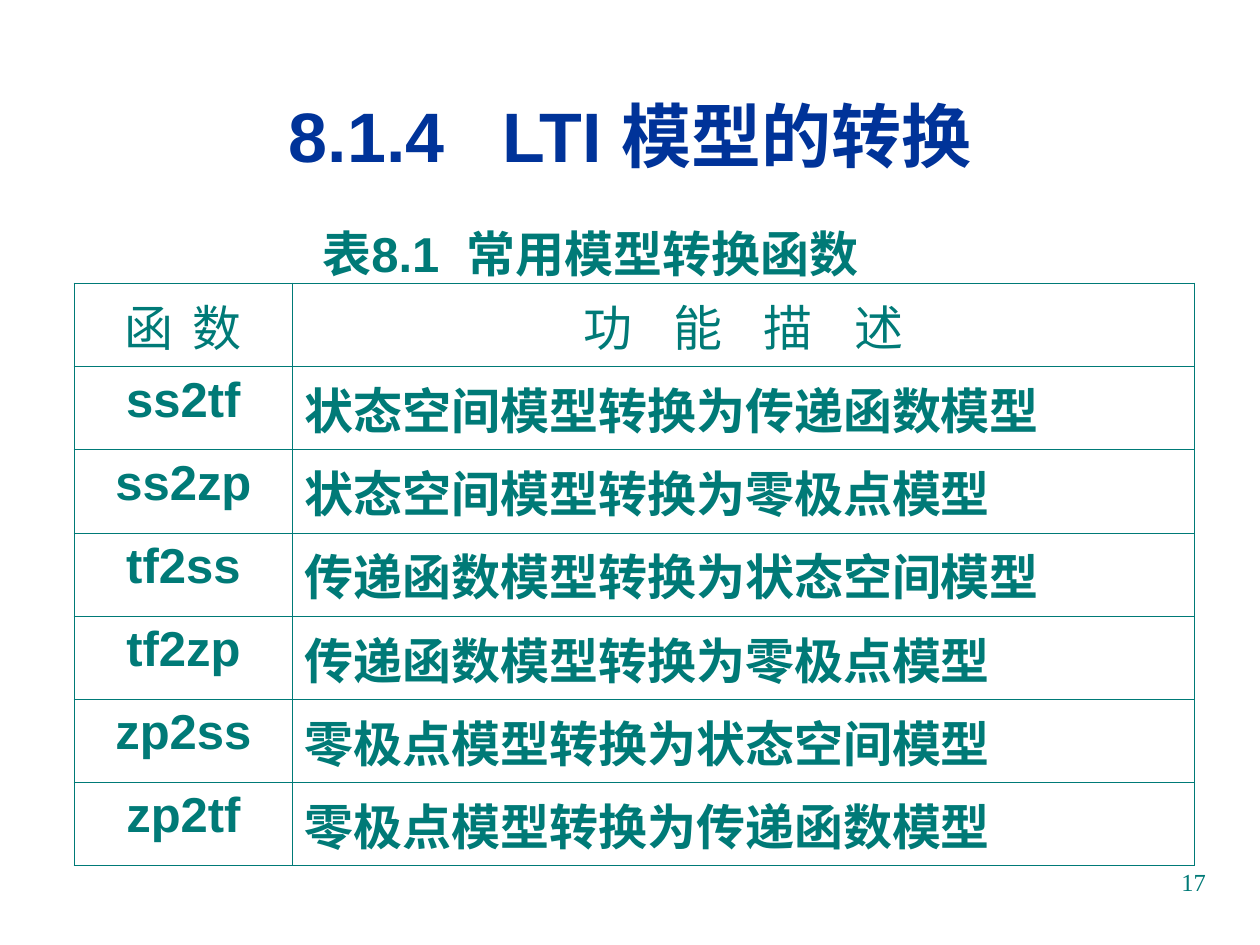
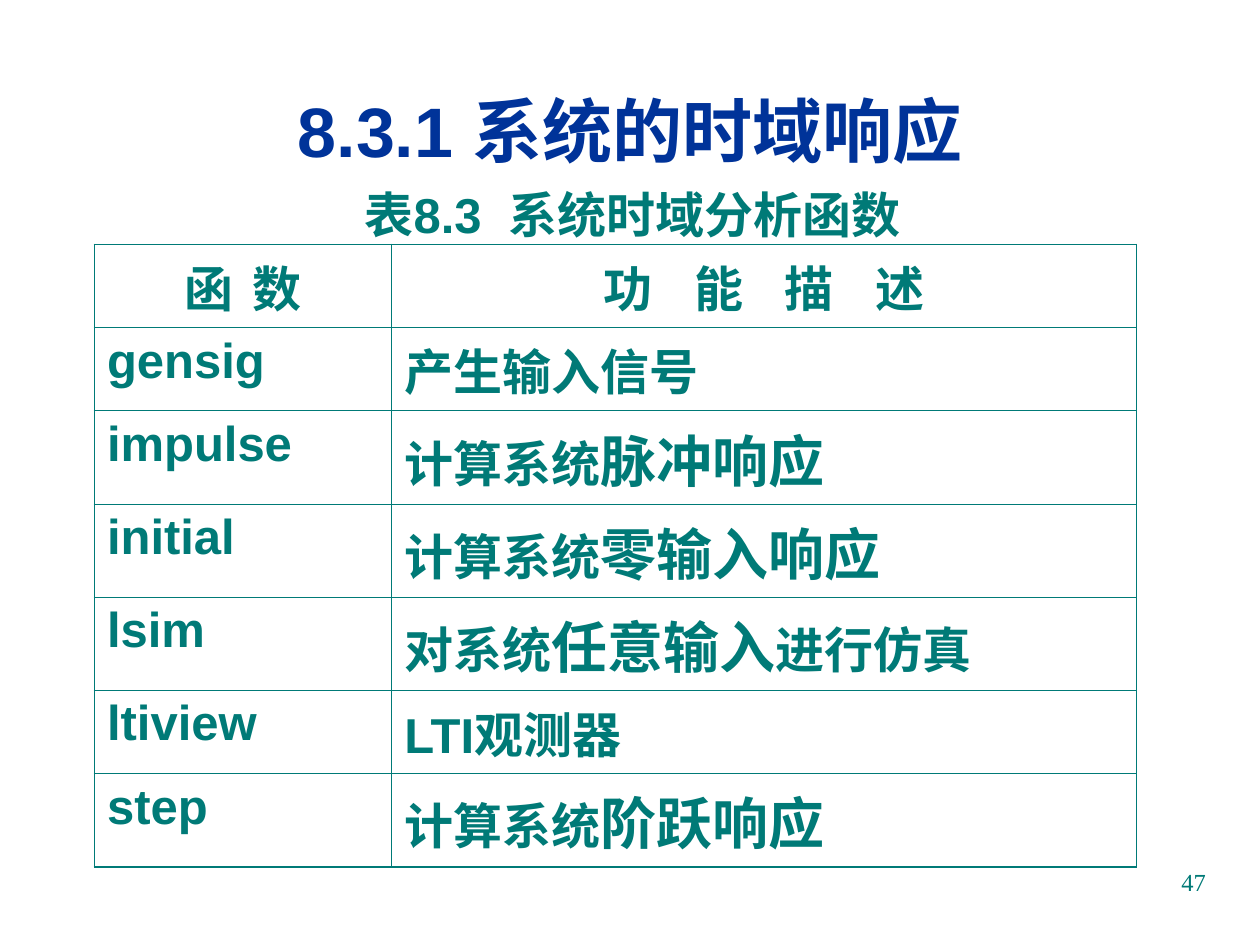
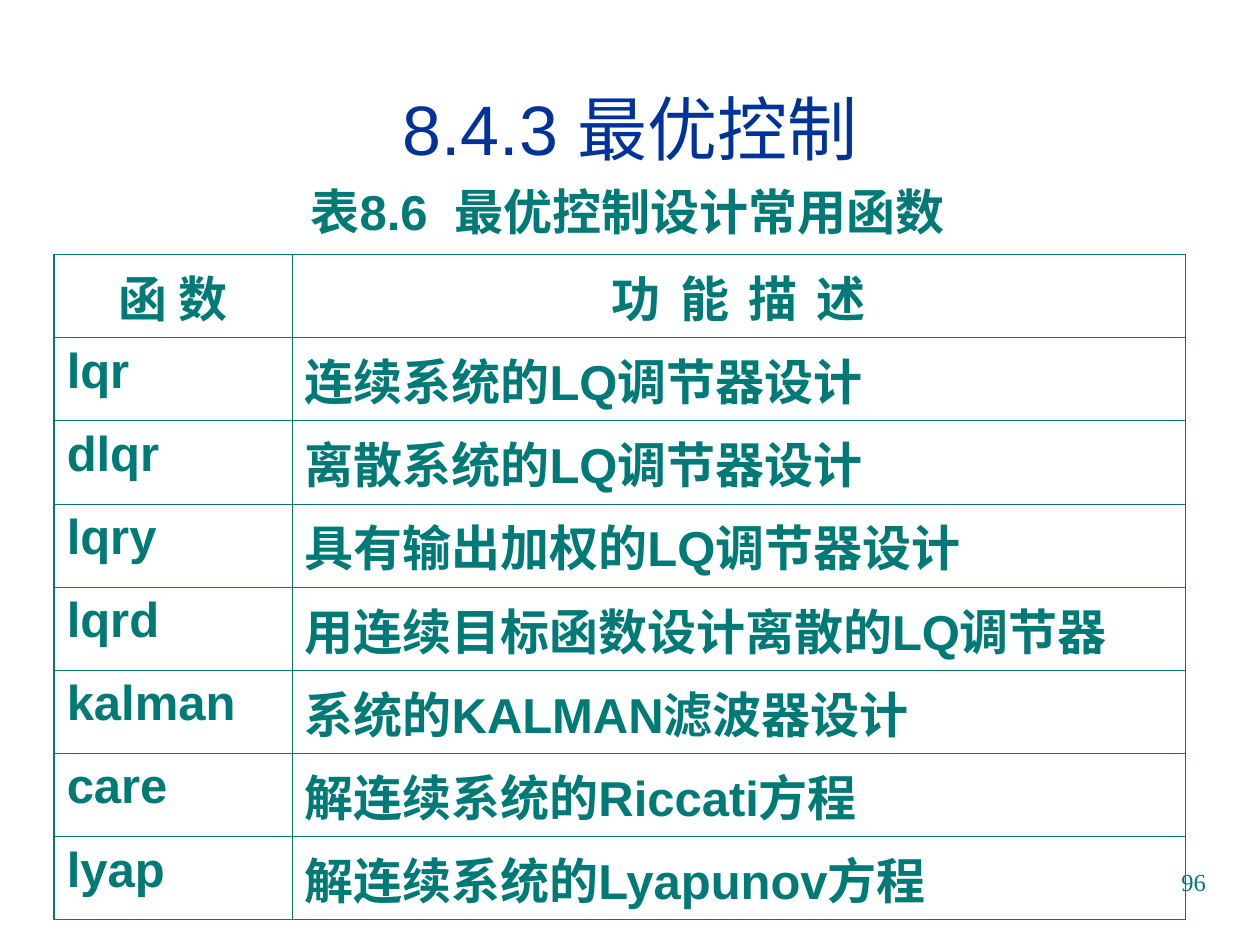
"""Build three slides of control-system function tables on a 100 by 75 grid."""
from lxml import etree
from pptx import Presentation
from pptx import util as u
from pptx.dml import color
from pptx.enum import text
from pptx.oxml import ns

COLORS = {"title": "003399", "body": "007A77"}
CENTER, LEFT, RIGHT = text.PP_ALIGN.CENTER, text.PP_ALIGN.LEFT, text.PP_ALIGN.RIGHT
THIN, THICK = u.Pt(0.45), u.Pt(1.08)
TITLE_SIZE, BODY_SIZE, LARGE_SIZE, NUMBER_SIZE = 40, 28, 32, 14
ROW_HEIGHT, LARGE_ROW_HEIGHT = 6.6, 7.4
CAPTION_GAP = 7.8

deck = Presentation()
deck.slide_width, deck.slide_height = u.Inches(10), u.Inches(7.5)
COLUMN, ROW = deck.slide_width / 100, deck.slide_height / 75


def write(para, spans, align, ink="body", bold=True, font="Arial"):
    """Add spans of (words, size, letter spacing) to a paragraph."""
    para.alignment = align
    for words, size, spacing in spans:
        span = para.add_run()
        span.text = words
        span.font.name, span.font.size, span.font.bold = font, u.Pt(size), bold
        span.font.color.rgb = color.RGBColor.from_string(COLORS[ink])
        if spacing:
            span.font._element.set("spc", str(round(spacing * 100)))


def add_box(page, area, anchor=text.MSO_ANCHOR.TOP):
    """Add a wrapping text box at a grid area and return its first paragraph."""
    left, top, width, height = area
    box = page.shapes.add_textbox(round(left * COLUMN), round(top * ROW),
                                  round(width * COLUMN), round(height * ROW))
    box.text_frame.word_wrap = True
    box.text_frame.vertical_anchor = anchor
    return box.text_frame.paragraphs[0]


PAGES = [
    {
        "title": [("8.1.4", 0), (" ", 22), ("LTI 模型的转换", 0)],
        "title_height": 8, "title_bold": True,
        "caption": ("表8.1", "常用模型转换函数"),
        "caption_area": (10.6, 17.8, 72.5, 6.3), "caption_leading": 0.9,
        "corner": (5.9, 22.5), "widths": (17.3, 71.6),
        "head_spacing": (2.4, 8.7), "head_bold": False, "name_align": CENTER,
        "rows": [
            ("ss2tf", ["状态空间模型转换为传递函数模型"]),
            ("ss2zp", ["状态空间模型转换为零极点模型"]),
            ("tf2ss", ["传递函数模型转换为状态空间模型"]),
            ("tf2zp", ["传递函数模型转换为零极点模型"]),
            ("zp2ss", ["零极点模型转换为状态空间模型"]),
            ("zp2tf", ["零极点模型转换为传递函数模型"]),
        ],
        "number": "17",
    },
    {
        "title": [("8.3.1 系统的时域响应", 0)],
        "title_height": 7.2, "title_bold": True,
        "caption": ("表8.3", "系统时域分析函数"),
        "caption_area": (3.5, 14.7, 93.4, 5.6), "caption_leading": 0.9,
        "corner": (7.5, 19.4), "widths": (23.6, 59.1),
        "head_spacing": (2.4, 8.7), "head_bold": True, "name_align": LEFT,
        "rows": [
            ("gensig", ["产生输入信号"]),
            ("impulse", ["计算系统", "脉冲响应"]),
            ("initial", ["计算系统", "零输入响应"]),
            ("lsim", ["对系统", "任意输入", "进行仿真"]),
            ("ltiview", ["LTI观测器"]),
            ("step", ["计算系统", "阶跃响应"]),
        ],
        "number": "47",
    },
    {
        "title": [("8.4.3 最优控制", 0)],
        "title_height": 6.8, "title_bold": False,
        "caption": ("表8.6", "最优控制设计常用函数"),
        "caption_area": (3.1, 13.9, 93.4, 6.4), "caption_leading": 1.0,
        "corner": (4.3, 20.2), "widths": (18.9, 70.9),
        "head_spacing": (0, 2.4), "head_bold": True, "name_align": LEFT,
        "rows": [
            ("lqr", ["连续系统的LQ调节器设计"]),
            ("dlqr", ["离散系统的LQ调节器设计"]),
            ("lqry", ["具有输出加权的LQ调节器设计"]),
            ("lqrd", ["用连续目标函数设计离散的LQ调节器"]),
            ("kalman", ["系统的KALMAN滤波器设计"]),
            ("care", ["解连续系统的Riccati方程"]),
            ("lyap", ["解连续系统的Lyapunov方程"]),
        ],
        "number": "96",
    },
]

for content in PAGES:
    page = deck.slides.add_slide(deck.slide_layouts[6])

    para = add_box(page, (3.3, 6.7, 93.4, content["title_height"]), text.MSO_ANCHOR.MIDDLE)
    write(para, [(words, TITLE_SIZE, spacing) for words, spacing in content["title"]],
          CENTER, "title", content["title_bold"])

    label, subject = content["caption"]
    para = add_box(page, content["caption_area"])
    para.line_spacing = content["caption_leading"]
    write(para, [(label, BODY_SIZE, 0), (" ", BODY_SIZE, CAPTION_GAP), (subject, BODY_SIZE, 0)],
          CENTER)

    left, top = content["corner"]
    heights = [ROW_HEIGHT] + [LARGE_ROW_HEIGHT if len(parts) > 1 else ROW_HEIGHT
                              for name, parts in content["rows"]]
    table = page.shapes.add_table(
        len(heights), 2, round(left * COLUMN), round(top * ROW),
        round(sum(content["widths"]) * COLUMN), round(sum(heights) * ROW)).table
    table.first_row = table.horz_banding = False
    for column, width in zip(table.columns, content["widths"]):
        column.width = round(width * COLUMN)
    for row, height in zip(table.rows, heights):
        row.height = round(height * ROW)

    for index, (words, spacing) in enumerate(zip(("函 数", "功 能 描 述"), content["head_spacing"])):
        write(table.cell(0, index).text_frame.paragraphs[0], [(words, BODY_SIZE, spacing)],
              CENTER, bold=content["head_bold"])
    for index, (name, parts) in enumerate(content["rows"], 1):
        write(table.cell(index, 0).text_frame.paragraphs[0], [(name, BODY_SIZE, 0)],
              content["name_align"])
        sizes = (BODY_SIZE, LARGE_SIZE, BODY_SIZE)
        write(table.cell(index, 1).text_frame.paragraphs[0],
              [(part, size, 0) for part, size in zip(parts, sizes)], LEFT)

    last = len(heights) - 1
    for index in range(len(heights)):
        for side in range(2):
            cell = table.cell(index, side)
            properties = cell._tc.get_or_add_tcPr()
            outer = {"lnL": side == 0, "lnR": side == 1, "lnT": index == 0, "lnB": index == last}
            for edge, is_outer in outer.items():
                line = etree.SubElement(properties, ns.qn(f"a:{edge}"),
                                        w=str(THICK if is_outer else THIN))
                fill = etree.SubElement(line, ns.qn("a:solidFill"))
                etree.SubElement(fill, ns.qn("a:srgbClr"), val=COLORS["body"])
            cell.fill.background()

    para = add_box(page, (71.7, 68.3, 25, 5.2))
    write(para, [(content["number"], NUMBER_SIZE, 0)], RIGHT, bold=False, font="Times New Roman")

deck.save("out.pptx")
